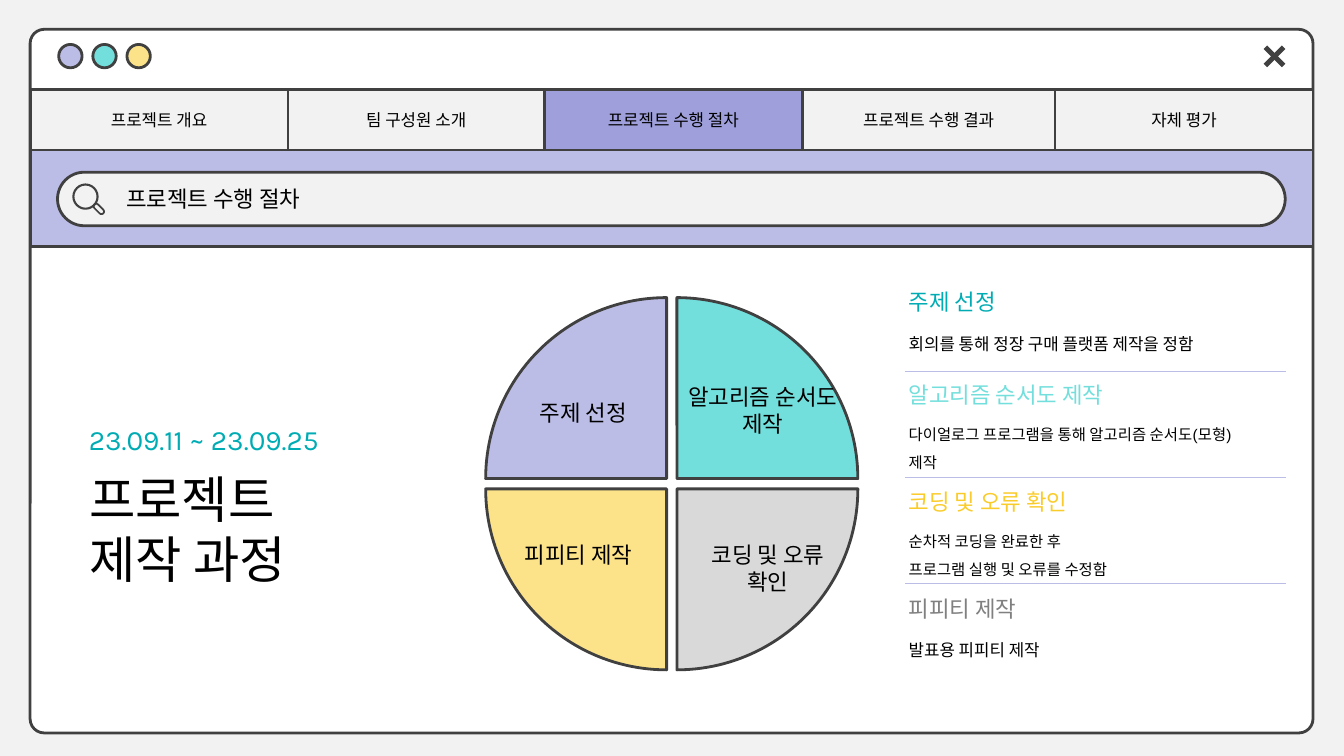
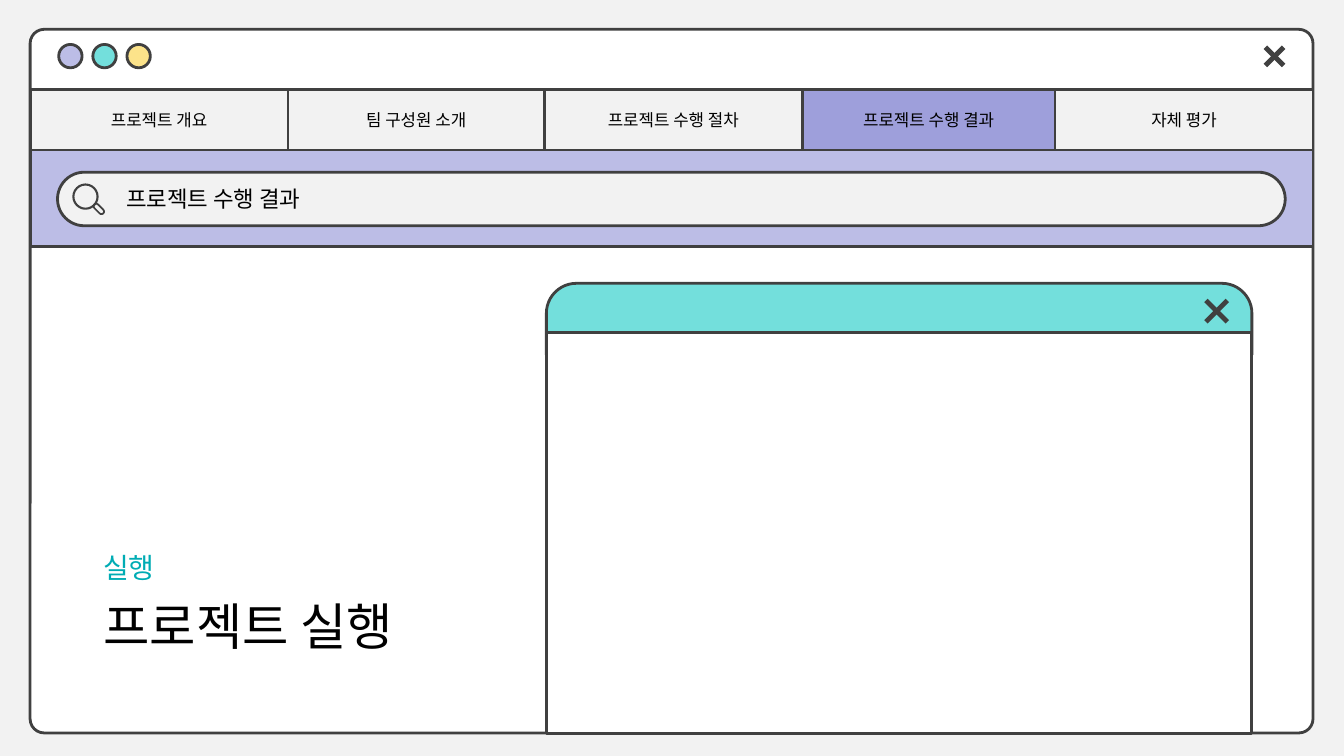
import pptx
import pptx.util
import pptx.dml.color
import pptx.enum.shapes
import pptx.enum.text
import pptx.oxml.ns
import lxml.etree

Cm, Pt = pptx.util.Cm, pptx.util.Pt
SHAPE = pptx.enum.shapes.MSO_SHAPE
ALIGN = pptx.enum.text.PP_ALIGN
ANCHOR = pptx.enum.text.MSO_ANCHOR

# Shared colours and fonts
INK, BLACK, WHITE, PALE = "404040", "000000", "FFFFFF", "F2F2F2"
LILAC, VIOLET, AQUA, GOLD = "BCBDE6", "9E9FDB", "73DFDC", "FCE38A"
SILVER, TEAL, AMBER, GREY = "D9D9D9", "00ACB4", "FACC2B", "808080"
HEAD, BODY = "Karla", "Arial"

# Window frame, in centimetres
LEFT, TOP, WIDE, HIGH = 0.76, 0.74, 32.33, 17.73
TABS = ["프로젝트 개요", "팀 구성원 소개", "프로젝트 수행 절차",
        "프로젝트 수행 결과", "자체 평가"]
EDGES = [0.76, 7.26, 13.72, 20.22, 26.59, 33.09]

# Pie: name, colour, start angle, side in x and y, label left and top
PIE = [("주제 선정", LILAC, 180, -1, -1, 12.42, 9.93),
       ("알고리즘 순서도 제작", AQUA, 270, 1, -1, 16.94, 9.53),
       ("피피티 제작", GOLD, 90, -1, 1, 12.3, 13.51),
       ("코딩 및 오류\n확인", SILVER, 0, 1, 1, 17.07, 13.51)]

# Steps: top, heading, colour, detail, detail size
STEPS = [
    (7.14, "주제 선정", TEAL, "회의를 통해 정장 구매 플랫폼 제작을 정함", 12),
    (9.47, "알고리즘 순서도 제작", AQUA,
     "다이얼로그 프로그램을 통해 알고리즘 순서도(모형)제작", 11),
    (12.17, "코딩 및 오류 확인", AMBER,
     "순차적 코딩을 완료한 후\n프로그램 실행 및 오류를 수정함", 11),
    (14.86, "피피티 제작", GREY, "발표용 피피티 제작", 12)]


def rgb(code):
    return pptx.dml.color.RGBColor.from_string(code)


def write(frame, text, size, color=BLACK, font=HEAD, align=ALIGN.LEFT,
          space=None):
    frame.word_wrap = True
    frame.text = text
    for para in frame.paragraphs:
        para.alignment = align
        para.line_spacing = space
        para.font.size = Pt(size)
        para.font.name = font
        para.font.color.rgb = rgb(color)


def label(slide, x, y, w, h, text, size, **style):
    box = slide.shapes.add_textbox(Cm(x), Cm(y), Cm(w), Cm(h))
    write(box.text_frame, text, size, **style)


def block(slide, kind, x, y, w, h, fill=None, adj=(), line=2):
    shape = slide.shapes.add_shape(kind, Cm(x), Cm(y), Cm(w), Cm(h))
    shape.shadow.inherit = False
    if fill:
        shape.fill.solid()
        shape.fill.fore_color.rgb = rgb(fill)
    else:
        shape.fill.background()
    shape.line.color.rgb = rgb(INK)
    shape.line.width = Pt(line)
    for i, value in enumerate(adj):
        shape.adjustments[i] = value
    return shape


def rule(slide, x1, y1, x2, y2, color, width):
    line = slide.shapes.add_connector(
        pptx.enum.shapes.MSO_CONNECTOR.STRAIGHT,
        Cm(x1), Cm(y1), Cm(x2), Cm(y2))
    line.line.color.rgb = rgb(color)
    line.line.width = Pt(width)
    lxml.etree.SubElement(line._element.spPr,
                          pptx.oxml.ns.qn("a:effectLst"))


def cross(slide, x, y, arm):
    for turn in (1, -1):
        rule(slide, x - arm, y - arm * turn, x + arm, y + arm * turn,
             INK, 3.5)


def lens(slide):
    block(slide, SHAPE.OVAL, 1.85, 4.65, 0.61, 0.61, line=1.5)
    grip = block(slide, SHAPE.ROUNDED_RECTANGLE, 2.33, 5.2, 0.32, 0.13,
                 adj=[0.5], line=1.25)
    grip.rotation = 45


def window(deck, now):
    """Add a slide with the browser frame, its tab number now lit."""
    slide = deck.slides.add_slide(deck.slide_layouts[5])
    slide.background.fill.solid()
    slide.background.fill.fore_color.rgb = rgb(PALE)
    block(slide, SHAPE.ROUNDED_RECTANGLE, LEFT, TOP, WIDE, HIGH, WHITE,
          [0.02])
    for i, color in enumerate([LILAC, AQUA, GOLD]):
        block(slide, SHAPE.OVAL, 1.48 + 0.86 * i, 1.12, 0.59, 0.59, color)
    cross(slide, 32.12, 1.42, 0.23)
    # Tabs
    for i, name in enumerate(TABS):
        tab = block(slide, SHAPE.RECTANGLE, EDGES[i], 2.26,
                    EDGES[i + 1] - EDGES[i], 1.52,
                    VIOLET if i == now else PALE)
        write(tab.text_frame, name, 12, align=ALIGN.CENTER)
    # Search band
    block(slide, SHAPE.RECTANGLE, LEFT, 3.78, WIDE, 2.44, LILAC)
    bar = block(slide, SHAPE.ROUNDED_RECTANGLE, 1.45, 4.34, 30.94, 1.35,
                PALE, [0.5])
    bar.text_frame.margin_left = Cm(1.53)
    write(bar.text_frame, TABS[now], 16)
    lens(slide)
    return slide


def title(slide, x, y, h, text, lead):
    head = slide.shapes.title
    head.left, head.top, head.width, head.height = map(
        Cm, (x, y, 11.13, h))
    head.text_frame.auto_size = pptx.enum.text.MSO_AUTO_SIZE.NONE
    head.text_frame.vertical_anchor = ANCHOR.TOP
    write(head.text_frame, text, 36)
    # Bring the title in front of the window
    head._element.getparent().append(head._element)
    label(slide, x, y - 1.14, 9.07, 1.1, lead, 20, color=TEAL)


def process(deck):
    slide = window(deck, 2)
    title(slide, 1.99, 11.66, 3.28, "프로젝트\n제작 과정",
          "23.09.11 ~ 23.09.25")
    # Quarter pies around one centre
    rad, gap = 4.56, 0.13
    for name, color, start, dx, dy, x, y in PIE:
        block(slide, SHAPE.PIE, 16.93 + gap * dx - rad,
              12.19 + gap * dy - rad, 2 * rad, 2 * rad, color,
              [start * 0.6, (start + 90) % 360 * 0.6])
    for name, color, start, dx, dy, x, y in PIE:
        label(slide, x, y, 4.57, 1.6, name, 16, align=ALIGN.CENTER)
    # Steps and the rules between them
    for y, head, color, text, size in STEPS:
        label(slide, 22.65, y, 8, 0.94, head, 16, color=color)
        label(slide, 22.65, y + 0.88, 9.07, 1, text, size, font=BODY,
              space=1.5)
    for i in range(len(STEPS) - 1):
        y = 9.35 + 2.68 * i
        rule(slide, 22.81, y, 32.41, y, LILAC, 0.5)


def result(deck):
    slide = window(deck, 3)
    title(slide, 2.35, 14.88, 1.8, "프로젝트 실행", "실행")
    # Inner window
    block(slide, SHAPE.ROUND_2_SAME_RECTANGLE, 13.77, 7.14, 17.78, 1.8,
          AQUA, [0.42, 0])
    block(slide, SHAPE.RECTANGLE, 13.77, 8.38, 17.78, 10.11, WHITE)
    cross(slide, 30.66, 7.84, 0.27)


def main():
    deck = pptx.Presentation()
    deck.slide_width, deck.slide_height = Cm(33.87), Cm(19.05)
    process(deck)
    result(deck)
    deck.save("out.pptx")


if __name__ == "__main__":
    main()
